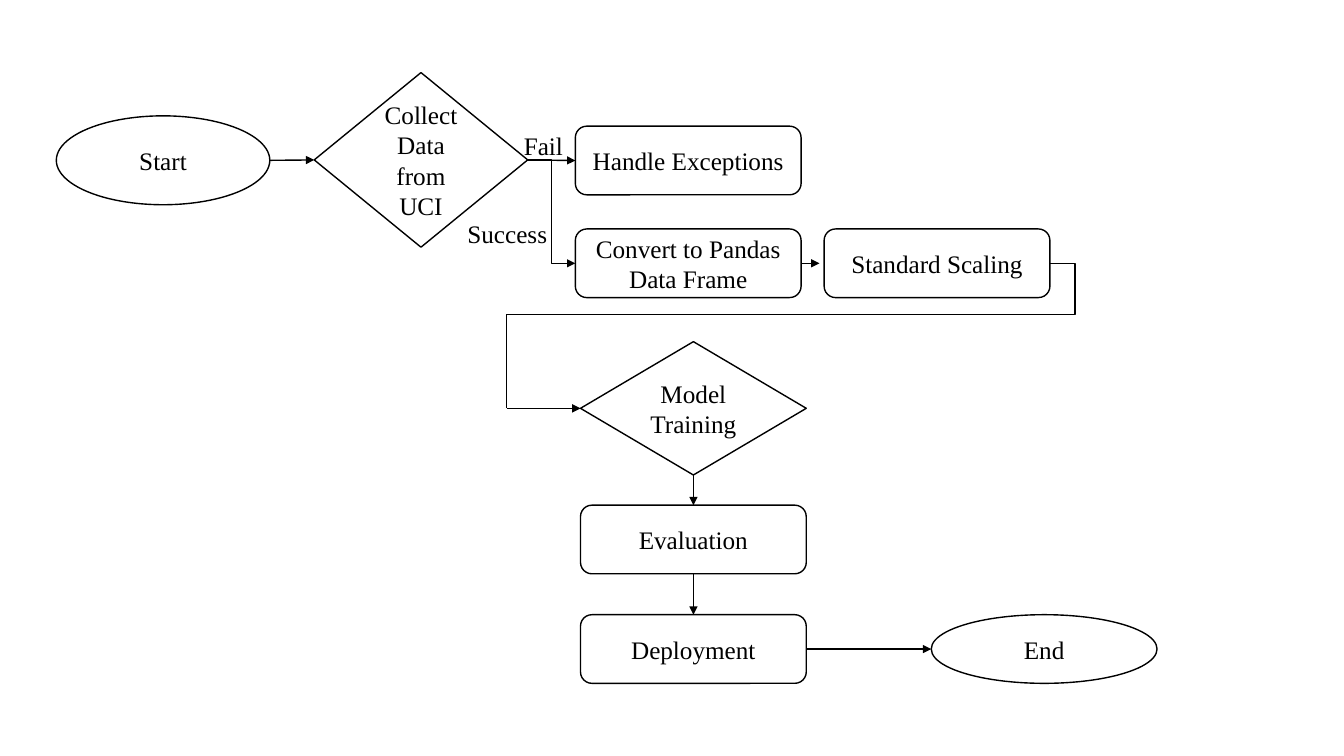
from dataclasses import dataclass

from lxml import etree
from pptx import Presentation
from pptx.dml.color import RGBColor
from pptx.enum.shapes import MSO_CONNECTOR, MSO_SHAPE
from pptx.enum.text import MSO_ANCHOR, PP_ALIGN
from pptx.oxml.ns import qn
from pptx.util import Cm, Pt

OVAL = MSO_SHAPE.OVAL
DECISION = MSO_SHAPE.FLOWCHART_DECISION
STEP = MSO_SHAPE.ROUNDED_RECTANGLE
STRAIGHT = MSO_CONNECTOR.STRAIGHT
ELBOW = MSO_CONNECTOR.ELBOW
CENTER = PP_ALIGN.CENTER
MIDDLE = MSO_ANCHOR.MIDDLE


@dataclass(frozen=True)
class Theme:
    ink: RGBColor = RGBColor(0, 0, 0)
    paper: RGBColor = RGBColor(255, 255, 255)
    font: str = "Times New Roman"
    size: Pt = Pt(18)
    line: Pt = Pt(1)


THEME = Theme()
STEP_W, STEP_H = Cm(5.69), Cm(1.73)


def write(sp, text):
    tf = sp.text_frame
    tf.word_wrap = True
    tf.vertical_anchor = MIDDLE
    tf.text = text
    p = tf.paragraphs[0]
    p.alignment = CENTER
    font = p.runs[0].font
    font.name = THEME.font
    font.size = THEME.size
    font.color.rgb = THEME.ink


def add_node(s, kind, text, left, top, width=STEP_W, height=STEP_H):
    sp = s.shapes.add_shape(kind, left, top, width, height)
    sp.shadow.inherit = False
    sp.fill.solid()
    sp.fill.fore_color.rgb = THEME.paper
    sp.line.color.rgb = THEME.ink
    sp.line.width = THEME.line
    write(sp, text)
    return sp


def add_label(s, text, left, top, width):
    sp = s.shapes.add_textbox(left, top, width, Cm(0.74))
    tf = sp.text_frame
    tf.margin_left = tf.margin_right = tf.margin_top = tf.margin_bottom = 0
    write(sp, text)


def link(s, start, end, kind=STRAIGHT, arrow=True, bend=None):
    cxn = s.shapes.add_connector(kind, *start, *end)
    cxn.line.color.rgb = THEME.ink
    cxn.line.width = THEME.line
    sp_pr = cxn._element.spPr
    if arrow:
        etree.SubElement(sp_pr.find(qn("a:ln")), qn("a:tailEnd"), type="triangle")
    if bend is not None:
        guides = sp_pr.find(qn("a:prstGeom")).get_or_add_avLst()
        etree.SubElement(guides, qn("a:gd"), name="adj1", fmla=f"val {bend}")
    etree.SubElement(sp_pr, qn("a:effectLst"))


def west(sp):
    return sp.left, sp.top + sp.height // 2


def east(sp):
    return sp.left + sp.width, sp.top + sp.height // 2


def north(sp):
    return sp.left + sp.width // 2, sp.top


def south(sp):
    return sp.left + sp.width // 2, sp.top + sp.height


def add_data_stage(s, left, top):
    wide = Cm(5.38)
    start = add_node(s, OVAL, "Start", left, top + Cm(1.09), wide, Cm(2.24))
    collect = add_node(s, DECISION, "Collect Data from UCI",
                       left + Cm(6.5), top, wide, Cm(4.4))
    step_left = left + Cm(13.08)
    handle = add_node(s, STEP, "Handle Exceptions", step_left, top + Cm(1.35))
    convert = add_node(s, STEP, "Convert to Pandas Data Frame",
                       step_left, top + Cm(3.94))
    scaling = add_node(s, STEP, "Standard Scaling",
                       step_left + Cm(6.27), top + Cm(3.94))
    link(s, east(start), west(collect))
    link(s, east(collect), west(handle))
    link(s, east(collect), west(convert), ELBOW)
    x, y = east(convert)
    link(s, (x, y), (x + Cm(0.46), y))
    add_label(s, "Fail", left + Cm(11.35), top + Cm(1.47), Cm(1.85))
    add_label(s, "Success", left + Cm(10.08), top + Cm(3.68), Cm(2.57))
    return scaling


def add_model_stage(s, left, top):
    training = add_node(s, DECISION, "Model Training", left, top, height=Cm(3.36))
    evaluation = add_node(s, STEP, "Evaluation", left, top + Cm(4.12))
    deployment = add_node(s, STEP, "Deployment", left, top + Cm(6.88))
    end = add_node(s, OVAL, "End", left + Cm(8.84), top + Cm(6.88))
    link(s, south(training), north(evaluation))
    link(s, south(evaluation), north(deployment))
    link(s, east(deployment), west(end))
    return training


def join_stages(s, scaling, training):
    x, y = west(training)
    lane_x = x - Cm(1.86)
    turn = lane_x, south(scaling)[1] + Cm(0.42)
    link(s, east(scaling), turn, ELBOW, arrow=False, bend=-4600)
    link(s, turn, (lane_x, y), arrow=False)
    link(s, (lane_x, y), (x, y))


def main():
    prs = Presentation()
    prs.slide_width, prs.slide_height = Cm(33.87), Cm(19.05)
    s = prs.slides.add_slide(prs.slide_layouts[6])
    scaling = add_data_stage(s, Cm(1.42), Cm(1.83))
    training = add_model_stage(s, Cm(14.63), Cm(8.61))
    join_stages(s, scaling, training)
    prs.save("out.pptx")


if __name__ == "__main__":
    main()
